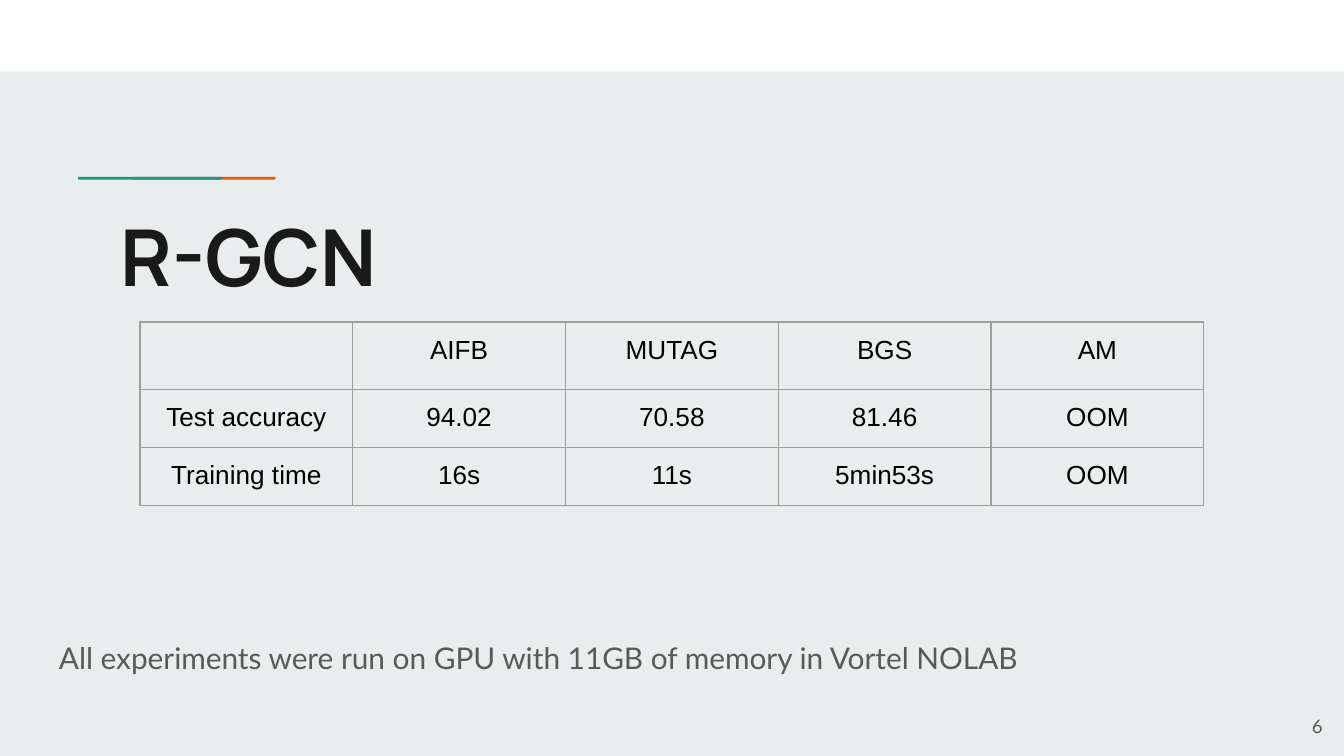
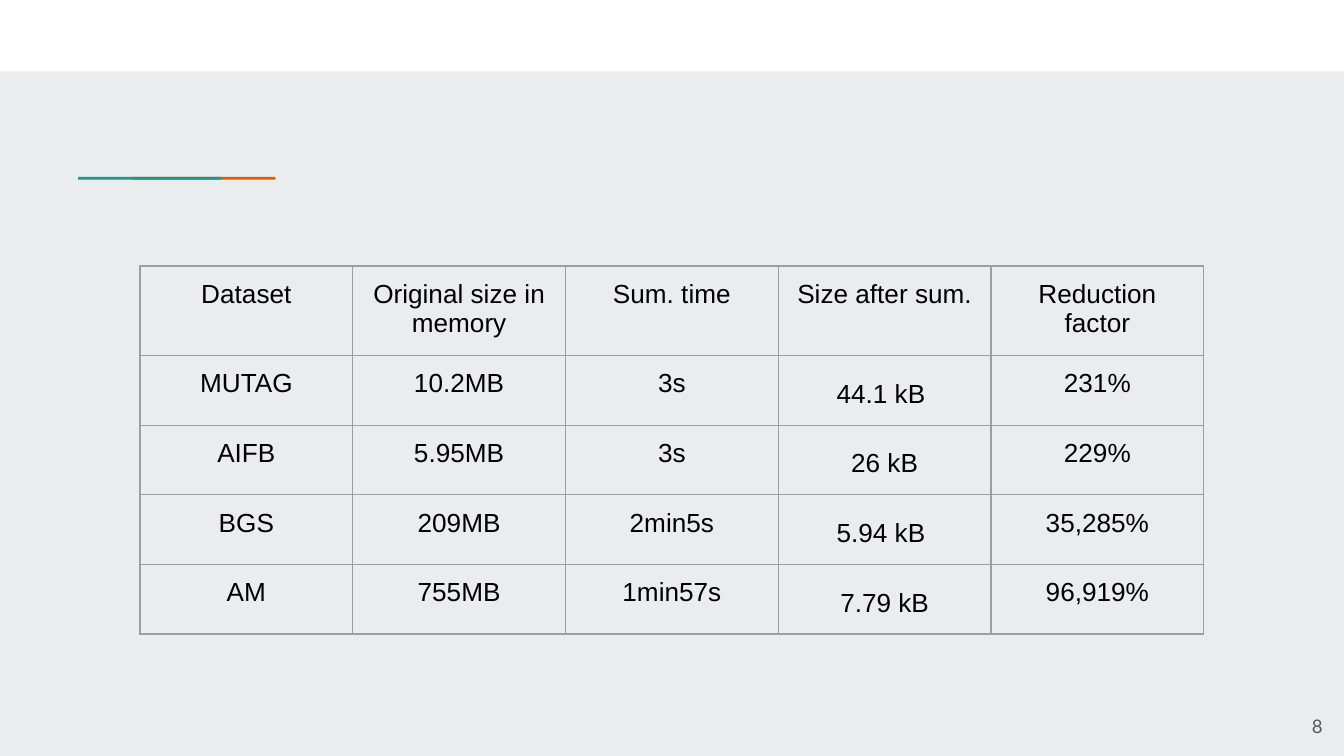
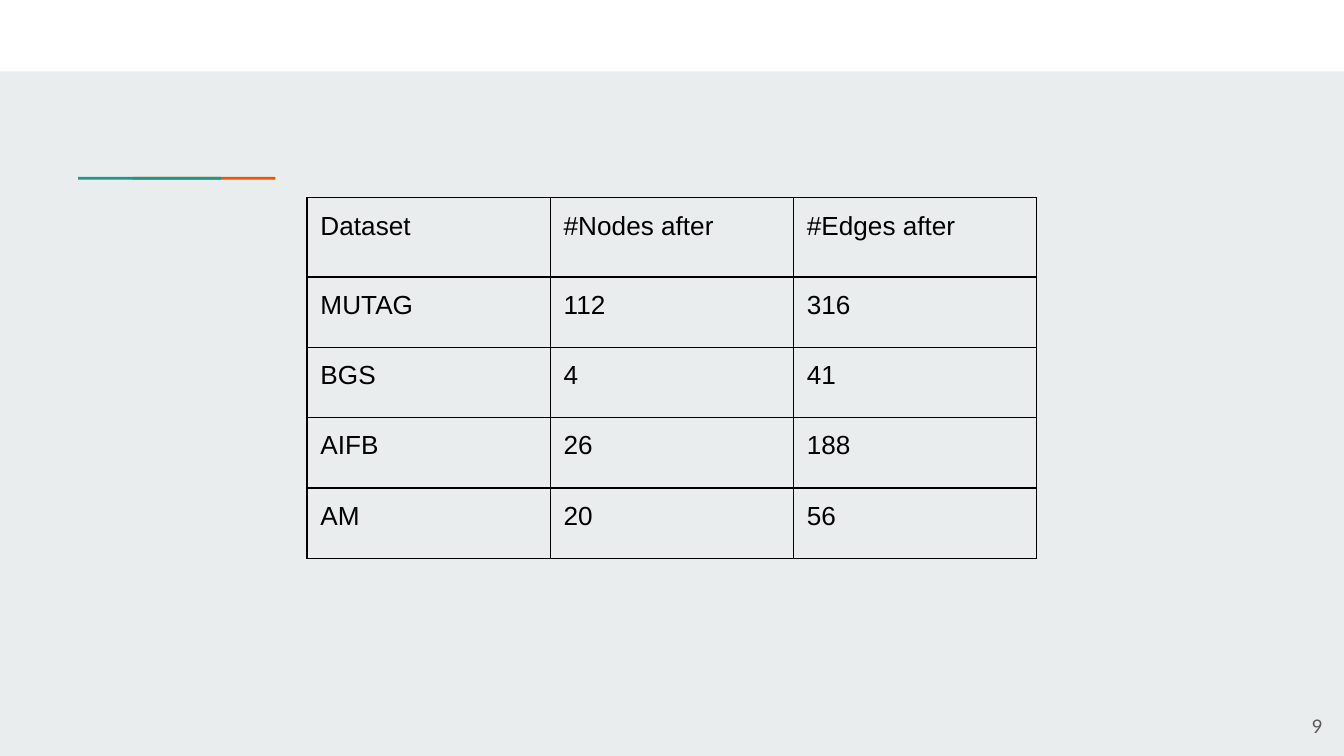
from dataclasses import dataclass

from lxml.etree import SubElement
from pptx import Presentation
from pptx.dml.color import RGBColor
from pptx.enum.shapes import MSO_SHAPE as Shape
from pptx.enum.text import MSO_ANCHOR as Anchor, PP_ALIGN as Align
from pptx.oxml.ns import qn
from pptx.util import Pt


@dataclass(frozen=True)
class Theme:
    """Colours, fonts, type sizes and common measures in points."""
    paper: str = "E9EDEE"
    band: str = "FFFFFF"
    teal: str = "1A9988"
    orange: str = "EB5600"
    heading: str = "1A1A1A"
    body: str = "595959"
    ink: str = "000000"
    grid: str = "9E9E9E"
    heading_font: str = "Manrope"
    body_font: str = "Lato"
    table_font: str = "Arial"
    heading_size: float = 42
    body_size: float = 16
    table_size: float = 14
    number_size: float = 10
    width: float = 720
    height: float = 405
    inset: float = 7.2
    rule: float = 0.75


def write(frame, text, *, font, size, color, bold=False, align=Align.LEFT, spacing=None):
    """Write one formatted paragraph into a text frame."""
    paragraph = frame.paragraphs[0]
    paragraph.alignment = align
    if spacing:
        paragraph.line_spacing = spacing
    run = paragraph.add_run()
    run.text = text
    run.font.name = font
    run.font.size = Pt(size)
    run.font.bold = bold
    run.font.color.rgb = RGBColor.from_string(color)


class Deck:
    """Holds the theme and the current slide."""

    def __init__(self, theme):
        """Set the page size and the shared background."""
        self.theme = theme
        self.prs = Presentation()
        self.prs.slide_width = Pt(theme.width)
        self.prs.slide_height = Pt(theme.height)
        background = self.prs.slide_master.background.fill
        background.solid()
        background.fore_color.rgb = RGBColor.from_string(theme.paper)
        self.slide = None

    def start(self, number):
        """Begin a slide with its band, accent line and page number."""
        theme = self.theme
        self.slide = self.prs.slides.add_slide(self.prs.slide_layouts[6])
        self.block(0, 0, theme.width, 38.25, theme.band)
        self.block(71, 94.8, 76.5, 1.5, theme.orange)
        self.block(41.8, 94.8, 76.5, 1.5, theme.teal)
        self.text(str(number), 672.5, 373.5, 43.2, 31, anchor=Anchor.MIDDLE,
                  font=theme.body_font, size=theme.number_size,
                  color=theme.body, align=Align.RIGHT)

    def block(self, left, top, width, height, color):
        """Add a plain filled rectangle."""
        block = self.slide.shapes.add_shape(
            Shape.RECTANGLE, Pt(left), Pt(top), Pt(width), Pt(height))
        block.shadow.inherit = False
        block.fill.solid()
        block.fill.fore_color.rgb = RGBColor.from_string(color)
        block.line.fill.background()

    def text(self, text, left, top, width, height, *, anchor=Anchor.TOP, **style):
        """Add a wrapped text box."""
        box = self.slide.shapes.add_textbox(Pt(left), Pt(top), Pt(width), Pt(height))
        frame = box.text_frame
        frame.word_wrap = True
        frame.vertical_anchor = anchor
        frame.margin_left = frame.margin_right = Pt(self.theme.inset)
        frame.margin_top = frame.margin_bottom = Pt(self.theme.inset)
        write(frame, text, **style)

    def title(self, text):
        """Add the slide title."""
        theme = self.theme
        self.text(text, 57.5, 104.4, 605.5, 59.8, font=theme.heading_font,
                  size=theme.heading_size, color=theme.heading, bold=True)

    def note(self, text):
        """Add the remark below the table."""
        theme = self.theme
        self.text(text, 24.5, 335.5, 671, 39, font=theme.body_font,
                  size=theme.body_size, color=theme.body)

    def table(self, rows, left, top, column, heights, *, grid, align, loose=None):
        """Add a ruled table; the loose column gets wider line spacing."""
        theme = self.theme
        table = self.slide.shapes.add_table(
            len(rows), len(rows[0]), Pt(left), Pt(top),
            Pt(column * len(rows[0])), Pt(sum(heights))).table
        table.first_row = table.horz_banding = False
        for track in table.columns:
            track.width = Pt(column)
        for r, (values, height) in enumerate(zip(rows, heights)):
            table.rows[r].height = Pt(height)
            for c, value in enumerate(values):
                cell = table.cell(r, c)
                cell.fill.background()
                cell.margin_left = cell.margin_right = Pt(theme.inset)
                cell.margin_top = cell.margin_bottom = Pt(theme.inset)
                self.rule(cell, grid)
                if value:
                    write(cell.text_frame, value, font=theme.table_font,
                          size=theme.table_size, color=theme.ink, align=align,
                          spacing=1.36 if r and c == loose else None)

    def rule(self, cell, color):
        """Draw the four borders of a cell."""
        properties = cell._tc.get_or_add_tcPr()
        for place, side in enumerate(("a:lnL", "a:lnR", "a:lnT", "a:lnB")):
            line = SubElement(properties, qn(side), w=str(Pt(self.theme.rule)))
            fill = SubElement(line, qn("a:solidFill"))
            SubElement(fill, qn("a:srgbClr"), val=color)
            properties.insert(place, line)


RESULTS = [
    ("", "AIFB", "MUTAG", "BGS", "AM"),
    ("Test accuracy", "94.02", "70.58", "81.46", "OOM"),
    ("Training time", "16s", "11s", "5min53s", "OOM"),
]
SUMMARY_SIZES = [
    ("Dataset", "Original size in memory", "Sum. time", "Size after sum.", "Reduction factor"),
    ("MUTAG", "10.2MB", "3s", "44.1 kB ", "231%"),
    ("AIFB", "5.95MB", "3s", "26 kB", "229%"),
    ("BGS", "209MB", "2min5s", "5.94 kB ", "35,285%"),
    ("AM", "755MB", "1min57s", "7.79 kB", "96,919%"),
]
GRAPH_SIZES = [
    ("Dataset", "#Nodes after", "#Edges after"),
    ("MUTAG", "112", "316"),
    ("BGS", "4", "41"),
    ("AIFB", "26", "188"),
    ("AM", "20", "56"),
]


def main():
    """Build the three slides and save them."""
    theme = Theme()
    deck = Deck(theme)

    deck.start(6)
    deck.title("R-GCN")
    deck.note("All experiments were run on GPU with 11GB of memory in Vortel NOLAB")
    deck.table(RESULTS, 75, 172.5, 114, [30] * 3, grid=theme.grid, align=Align.CENTER)

    deck.start(8)
    deck.table(SUMMARY_SIZES, 75, 142.5, 114, [30] * 5,
               grid=theme.grid, align=Align.CENTER, loose=3)

    deck.start(9)
    deck.table(GRAPH_SIZES, 164.5, 106, 130.3, [42.4] + [37.7] * 4,
               grid=theme.ink, align=Align.LEFT)

    deck.prs.save("out.pptx")


if __name__ == "__main__":
    main()
